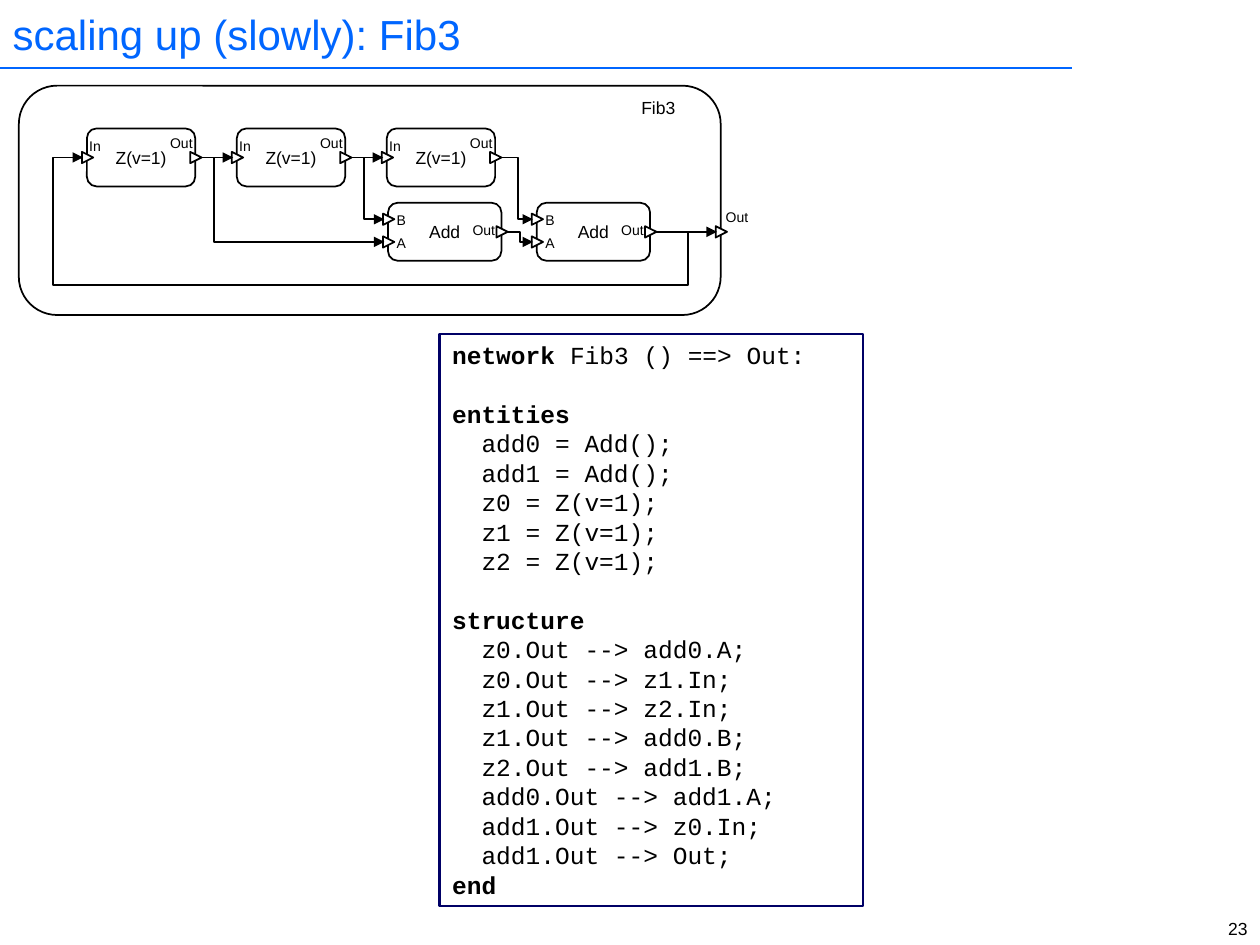
from lxml.etree import SubElement
from pptx import Presentation
from pptx.dml.color import RGBColor
from pptx.enum.shapes import MSO_CONNECTOR as LINK, MSO_SHAPE as SHAPE
from pptx.enum.text import MSO_ANCHOR as ANCHOR, MSO_AUTO_SIZE as FIT, PP_ALIGN as ALIGN
from pptx.oxml.ns import qn
from pptx.util import Inches, Pt

BLACK = RGBColor(0, 0, 0)
WHITE = RGBColor(255, 255, 255)
BLUE = RGBColor(0, 0x66, 0xFF)
NAVY = RGBColor(0, 0, 0x66)

TITLE = "scaling up (slowly): Fib3"
BLOCKS = {
    "z0": ("Z(v=1)", 0.69, 1.02),
    "z1": ("Z(v=1)", 1.88, 1.02),
    "z2": ("Z(v=1)", 3.07, 1.02),
    "add0": ("Add", 3.08, 1.61),
    "add1": ("Add", 4.26, 1.61),
}
BLOCK_HEIGHT = 0.46
BLOCK_WIDTHS = {"Z(v=1)": 0.86, "Add": 0.9}
# port: centre below block top, label offset from block edge and top
PORTS = {
    "Z(v=1)": {"In": (0.23, -0.08, 0.02), "Out": (0.23, -0.3, 0)},
    "Add": {"B": (0.13, -0.03, 0.02), "A": (0.31, -0.03, 0.2), "Out": (0.23, -0.33, 0.1)},
}
LABEL_WIDTHS = {"In": 0.29, "Out": 0.38, "A": 0.27, "B": 0.27, "Fib3": 0.47}
PORT_SIZE = 0.09
FRAME = (0.15, 0.68, 5.57, 1.82)
NETWORK_OUT = (5.72, 1.84)
WIRES = [
    ("z0.Out", "add0.A", 1.7),
    ("z0.Out", "z1.In", None),
    ("z1.Out", "z2.In", None),
    ("z1.Out", "add0.B", 2.89),
    ("z2.Out", "add1.B", 4.11),
    ("add0.Out", "add1.A", 4.13),
    ("add1.Out", "Out", None),
]
FEEDBACK = ("add1.Out", "z0.In")
FEEDBACK_RIGHT, FEEDBACK_BOTTOM, FEEDBACK_LEFT = 5.46, 2.26, 0.42
KEYWORDS = ("network", "entities", "structure", "end")
CODE = """network Fib3 () ==> Out:

entities
  add0 = Add();
  add1 = Add();
  z0 = Z(v=1);
  z1 = Z(v=1);
  z2 = Z(v=1);

structure
  z0.Out --> add0.A;
  z0.Out --> z1.In;
  z1.Out --> z2.In;
  z1.Out --> add0.B;
  z2.Out --> add1.B;
  add0.Out --> add1.A;
  add1.Out --> z0.In;
  add1.Out --> Out;
end"""
CODE_LINE = Pt(16.8)


def add_run(paragraph, text, size, color=BLACK, font="Arial", bold=False):
    run = paragraph.add_run()
    run.text = text
    run.font.size, run.font.name, run.font.bold = Pt(size), font, bold
    run.font.color.rgb = color


def add_text(slide, text, box, size, align=ALIGN.CENTER, wrap=False):
    frame = slide.shapes.add_textbox(*map(Inches, box)).text_frame
    frame.word_wrap = wrap
    frame.paragraphs[0].alignment = align
    add_run(frame.paragraphs[0], text, size)


def add_box(slide, kind, box, fill=None, color=BLACK, width=1):
    shape = slide.shapes.add_shape(kind, *map(Inches, box))
    shape.shadow.inherit = False
    if fill is None:
        shape.fill.background()
    else:
        shape.fill.solid()
        shape.fill.fore_color.rgb = fill
    shape.line.color.rgb = color
    shape.line.width = Pt(width)
    return shape


def add_port(slide, x, y):
    box = (x - 0.04, y - PORT_SIZE / 2, PORT_SIZE, PORT_SIZE)
    add_box(slide, SHAPE.ISOSCELES_TRIANGLE, box, WHITE).rotation = 90


def add_line(slide, kind, start, end, color=BLACK, arrow=True):
    line = slide.shapes.add_connector(kind, *map(Inches, (*start, *end)))
    line.line.color.rgb = color
    line.line.width = Pt(1)
    if arrow:
        SubElement(line.line._get_or_add_ln(), qn("a:tailEnd"), type="triangle")
    SubElement(line._element.spPr, qn("a:effectLst"))
    return line


def bend(line, preset, fractions):
    geometry = line._element.spPr.find(qn("a:prstGeom"))
    geometry.set("prst", preset)
    guides = geometry.find(qn("a:avLst"))
    if guides is None:
        guides = SubElement(geometry, qn("a:avLst"))
    for number, fraction in enumerate(fractions, 1):
        SubElement(guides, qn("a:gd"), name=f"adj{number}", fmla=f"val {round(fraction * 100000)}")


def add_block(slide, key, ends):
    name, left, top = BLOCKS[key]
    width = BLOCK_WIDTHS[name]
    shape = add_box(slide, SHAPE.ROUNDED_RECTANGLE, (left, top, width, BLOCK_HEIGHT))
    shape.text_frame.vertical_anchor = ANCHOR.MIDDLE
    paragraph = shape.text_frame.paragraphs[0]
    paragraph.alignment = ALIGN.CENTER
    add_run(paragraph, name, 10)
    for port, (depth, label_x, label_y) in PORTS[name].items():
        is_output = port == "Out"
        edge = left + width if is_output else left
        add_text(slide, port, (edge + label_x, top + label_y, LABEL_WIDTHS[port], 0.24), 8)
        add_port(slide, edge, top + depth)
        ends[f"{key}.{port}"] = (edge + (0.05 if is_output else -0.03), top + depth)


def add_wires(slide, ends):
    for source, target, middle in WIRES:
        start, end = ends[source], ends[target]
        if middle is None:
            add_line(slide, LINK.STRAIGHT, start, end)
        else:
            line = add_line(slide, LINK.ELBOW, start, end)
            bend(line, "bentConnector3", [(middle - start[0]) / (end[0] - start[0])])
    start, end = (ends[name] for name in FEEDBACK)
    across, down = end[0] - start[0], end[1] - start[1]
    bend(add_line(slide, LINK.ELBOW, start, end), "bentConnector5", [
        (FEEDBACK_RIGHT - start[0]) / across,
        (FEEDBACK_BOTTOM - start[1]) / down,
        (FEEDBACK_LEFT - start[0]) / across,
    ])


def add_code(slide):
    shape = add_box(slide, SHAPE.RECTANGLE, (3.49, 2.65, 3.36, 4.54), WHITE, NAVY, 1.5)
    frame = shape.text_frame
    frame.vertical_anchor = ANCHOR.TOP
    frame.word_wrap = True
    paragraph = frame.paragraphs[0]
    for number, section in enumerate(CODE.split("\n\n")):
        for position, text in enumerate(section.split("\n")):
            if number or position:
                paragraph = frame.add_paragraph()
            paragraph.alignment = ALIGN.LEFT
            paragraph.line_spacing = CODE_LINE
            if number and position == 0:
                paragraph.space_before = CODE_LINE
            keyword = next((word for word in KEYWORDS if text.startswith(word)), "")
            for part, bold in ((keyword, True), (text[len(keyword):], False)):
                if part:
                    add_run(paragraph, part, 14, font="Courier New", bold=bold)


def main():
    presentation = Presentation()
    presentation.slide_width, presentation.slide_height = Inches(10), Inches(7.5)
    slide = presentation.slides.add_slide(presentation.slide_layouts[5])

    title = slide.shapes.title
    title.left, title.top, title.width, title.height = map(Inches, (0, 0, 8.65, 0.53))
    title.text_frame.auto_size = FIT.NONE
    title.text_frame.vertical_anchor = ANCHOR.MIDDLE
    title.text_frame.paragraphs[0].alignment = ALIGN.LEFT
    add_run(title.text_frame.paragraphs[0], TITLE, 24, BLUE)
    add_line(slide, LINK.STRAIGHT, (0, 0.54), (8.51, 0.54), BLUE, arrow=False)

    add_box(slide, SHAPE.ROUNDED_RECTANGLE, FRAME)
    add_text(slide, "Fib3", (4.99, 0.72, LABEL_WIDTHS["Fib3"], 0.27), 10)
    ends = {"Out": (NETWORK_OUT[0] - 0.03, NETWORK_OUT[1])}
    for key in BLOCKS:
        add_block(slide, key, ends)
    add_port(slide, *NETWORK_OUT)
    add_text(slide, "Out", (5.66, 1.61, LABEL_WIDTHS["Out"], 0.24), 8)
    add_wires(slide, ends)

    add_code(slide)
    add_text(slide, "23", (9.07, 7.24, 0.93, 0.23), 10, ALIGN.RIGHT, wrap=True)
    presentation.save("out.pptx")


if __name__ == "__main__":
    main()
